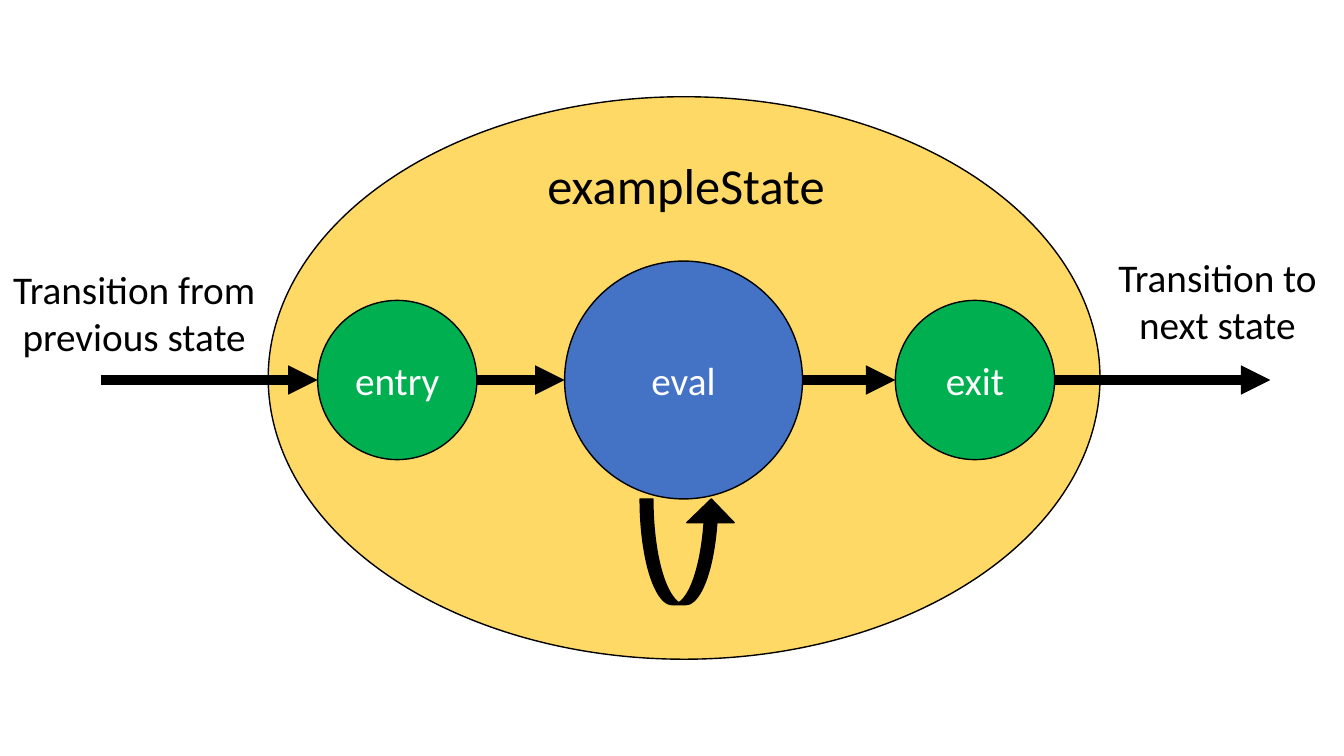
from dataclasses import dataclass

from pptx import Presentation
from pptx.dml.color import RGBColor
from pptx.enum.shapes import MSO_CONNECTOR, MSO_SHAPE
from pptx.enum.text import MSO_ANCHOR, MSO_AUTO_SIZE, PP_ALIGN
from pptx.oxml.ns import qn
from pptx.shapes.autoshape import Shape
from pptx.slide import Slide
from pptx.text.text import TextFrame
from pptx.util import Inches, Pt
from lxml.etree import SubElement


@dataclass(frozen=True)
class Theme:
    font: str = "Calibri"
    black: str = "000000"
    white: str = "FFFFFF"
    state: str = "FFD966"
    edge: str = "00B050"
    eval: str = "4472C4"
    title_size: int = 36
    text_size: int = 28
    outline: int = 1
    arrow: int = 7


THEME = Theme()


@dataclass(frozen=True)
class Box:
    left: float
    top: float
    width: float
    height: float

    def lengths(self) -> list[int]:
        return [Inches(v) for v in (self.left, self.top, self.width, self.height)]


@dataclass(frozen=True)
class Step:
    name: str
    center_x: float
    diameter: float
    fill: str

    @property
    def left(self) -> float:
        return self.center_x - self.diameter / 2

    @property
    def right(self) -> float:
        return self.center_x + self.diameter / 2


@dataclass(frozen=True)
class Label:
    text: str
    box: Box
    size: int


FLOW_Y = 3.77
STATE = Box(2.66, 0.96, 8.25, 5.58)
LOOP = Box(6.35, 4.95, 0.94, 1.05)
LOOP_ADJUSTMENTS = (0.134, 0.5, 0.25)

ENTRY = Step("entry", 3.94, 1.58, THEME.edge)
EVAL = Step("eval", 6.78, 2.36, THEME.eval)
EXIT = Step("exit", 9.67, 1.58, THEME.edge)
STEPS = (ENTRY, EVAL, EXIT)

LABELS = (
    Label("exampleState", Box(5.19, 1.48, 3.23, 0.71), THEME.title_size),
    Label("Transition from previous state", Box(0, 2.58, 2.66, 1.04), THEME.text_size),
    Label("Transition to next state", Box(10.81, 2.46, 2.53, 1.04), THEME.text_size),
)


def color(value: str) -> RGBColor:
    return RGBColor.from_string(value)


def set_text(tf: TextFrame, text: str, size: int, font_color: str) -> None:
    tf.text = text
    tf.word_wrap = True
    p = tf.paragraphs[0]
    p.alignment = PP_ALIGN.CENTER
    font = p.runs[0].font
    font.name = THEME.font
    font.size = Pt(size)
    font.color.rgb = color(font_color)


def add_outlined(s: Slide, kind: MSO_SHAPE, box: Box, fill: str) -> Shape:
    sp = s.shapes.add_shape(kind, *box.lengths())
    sp.shadow.inherit = False
    sp.fill.solid()
    sp.fill.fore_color.rgb = color(fill)
    sp.line.color.rgb = color(THEME.black)
    sp.line.width = Pt(THEME.outline)
    return sp


def add_step(s: Slide, step: Step) -> None:
    d = step.diameter
    sp = add_outlined(s, MSO_SHAPE.OVAL, Box(step.left, FLOW_Y - d / 2, d, d), step.fill)
    sp.text_frame.vertical_anchor = MSO_ANCHOR.MIDDLE
    set_text(sp.text_frame, step.name, THEME.text_size, THEME.white)


def add_arrow(s: Slide, start: float, end: float) -> None:
    y = Inches(FLOW_Y)
    line = s.shapes.add_connector(MSO_CONNECTOR.STRAIGHT, Inches(start), y, Inches(end), y)
    line.line.color.rgb = color(THEME.black)
    line.line.width = Pt(THEME.arrow)
    props = line._element.spPr
    SubElement(props.find(qn("a:ln")), qn("a:tailEnd"), type="triangle")
    SubElement(props, qn("a:effectLst"))


def add_label(s: Slide, label: Label) -> None:
    tf = s.shapes.add_textbox(*label.box.lengths()).text_frame
    set_text(tf, label.text, label.size, THEME.black)
    tf.auto_size = MSO_AUTO_SIZE.SHAPE_TO_FIT_TEXT


def main() -> None:
    prs = Presentation()
    prs.slide_width, prs.slide_height = Inches(13.33), Inches(7.5)
    s = prs.slides.add_slide(prs.slide_layouts[6])

    # State and its steps
    add_outlined(s, MSO_SHAPE.OVAL, STATE, THEME.state)
    for step in STEPS:
        add_step(s, step)

    # Arrows into, between and out of the steps
    starts = (1, *(step.right for step in STEPS))
    ends = (*(step.left for step in STEPS), 12.6)
    for start, end in zip(starts, ends):
        add_arrow(s, start, end)

    # Loop back to eval
    loop = add_outlined(s, MSO_SHAPE.CURVED_UP_ARROW, LOOP, THEME.black)
    for i, value in enumerate(LOOP_ADJUSTMENTS):
        loop.adjustments[i] = value

    # Title and transition labels
    for label in LABELS:
        add_label(s, label)

    prs.save("out.pptx")


if __name__ == "__main__":
    main()
